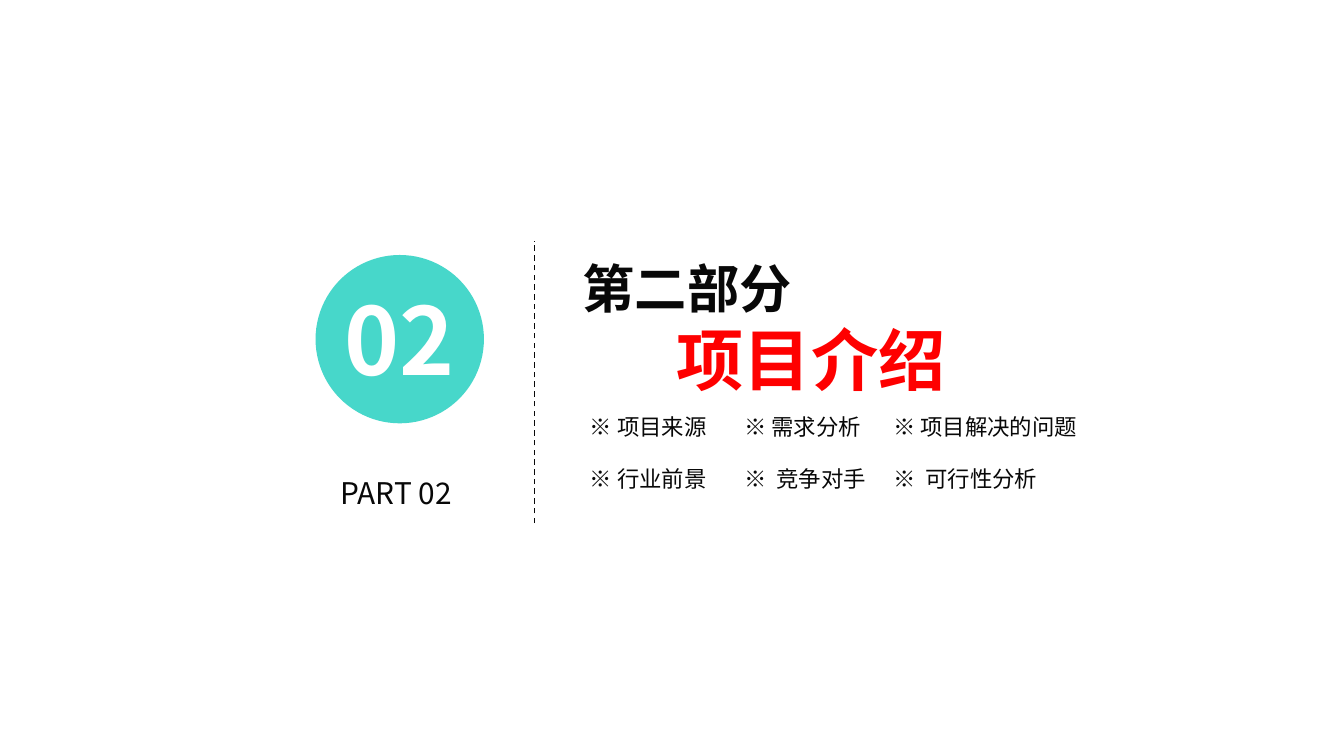
from lxml import etree
from pptx import Presentation
from pptx.dml.color import RGBColor
from pptx.enum import dml, shapes, text
from pptx.oxml.ns import qn
from pptx.util import Inches, Pt

FONT = "Noto Sans CJK SC"
INK = "080808"
RED = "FE0000"
TEAL = "47D7CA"
WHITE = "FFFFFF"


def color(hex_string):
    return RGBColor.from_string(hex_string)


def format_paragraph(paragraph, size, hex_string, bold=False, indent=0):
    paragraph._p.get_or_add_pPr().set("marL", str(Inches(indent)))
    for run in paragraph.runs:
        run.font.name = FONT
        run.font.size = Pt(size)
        run.font.bold = bold
        run.font.color.rgb = color(hex_string)
        east_asian = etree.SubElement(run._r.get_or_add_rPr(), qn("a:ea"))
        east_asian.set("typeface", FONT)


def add_text_box(slide, left, top, width, height, inset_x=0, inset_y=0):
    box = slide.shapes.add_textbox(Inches(left), Inches(top), Inches(width), Inches(height))
    frame = box.text_frame
    frame.word_wrap = True
    frame.margin_left = frame.margin_right = Inches(inset_x)
    frame.margin_top = frame.margin_bottom = Inches(inset_y)
    return frame


def add_label(slide, wording, left, top, width, height, size, hex_string, bold=False, inset_x=0, inset_y=0):
    frame = add_text_box(slide, left, top, width, height, inset_x, inset_y)
    frame.text = wording
    format_paragraph(frame.paragraphs[0], size, hex_string, bold)


def add_title(slide):
    frame = add_text_box(slide, 5.62, 2.49, 4.45, 1.54, 0.1, 0.05)
    frame.text = "第二部分\n项目介绍"
    part, name = frame.paragraphs
    format_paragraph(part, 37.3, INK, bold=True, indent=0.06)
    format_paragraph(name, 48, RED, bold=True, indent=0.4)
    name.alignment = text.PP_ALIGN.CENTER


def add_divider(slide):
    line = slide.shapes.add_connector(
        shapes.MSO_CONNECTOR.STRAIGHT, Inches(5.3), Inches(5.19), Inches(5.3), Inches(2.39))
    line.line.color.rgb = color(INK)
    line.line.width = Pt(1)
    line.line.dash_style = dml.MSO_LINE.DASH
    etree.SubElement(line._element.spPr, qn("a:effectLst"))


def add_circle(slide, left, top, diameter):
    circle = slide.shapes.add_shape(
        shapes.MSO_SHAPE.OVAL, Inches(left), Inches(top), Inches(diameter), Inches(diameter))
    circle.shadow.inherit = False
    circle.fill.solid()
    circle.fill.fore_color.rgb = color(TEAL)
    circle.line.fill.background()


def add_topics(slide):
    columns = [(5.76, 1.5), (7.29, 1.44), (8.77, 2.15)]
    rows = [
        ("※ 项目来源", "※ 需求分析", "※ 项目解决的问题"),
        ("※ 行业前景", "※  竞争对手", "※  可行性分析"),
    ]
    for row, topics in enumerate(rows):
        for (left, width), topic in zip(columns, topics):
            add_label(slide, topic, left, 4.06 + row * 0.51, width, 0.36, 16, INK,
                      inset_x=0.09, inset_y=0.04)


def main():
    presentation = Presentation()
    presentation.slide_width = Inches(13.33)
    presentation.slide_height = Inches(7.5)
    slide = presentation.slides.add_slide(presentation.slide_layouts[6])

    # Section title and divider
    add_title(slide)
    add_divider(slide)

    # Section number
    add_label(slide, "PART 02", 3.38, 4.71, 1.32, 0.36, 21.3, INK)
    add_circle(slide, 3.13, 2.53, 1.67)
    add_label(slide, "02", 3.42, 2.8, 1.32, 1.12, 66.7, WHITE, bold=True)

    # Topics of the section
    add_topics(slide)

    presentation.save("out.pptx")


if __name__ == "__main__":
    main()
